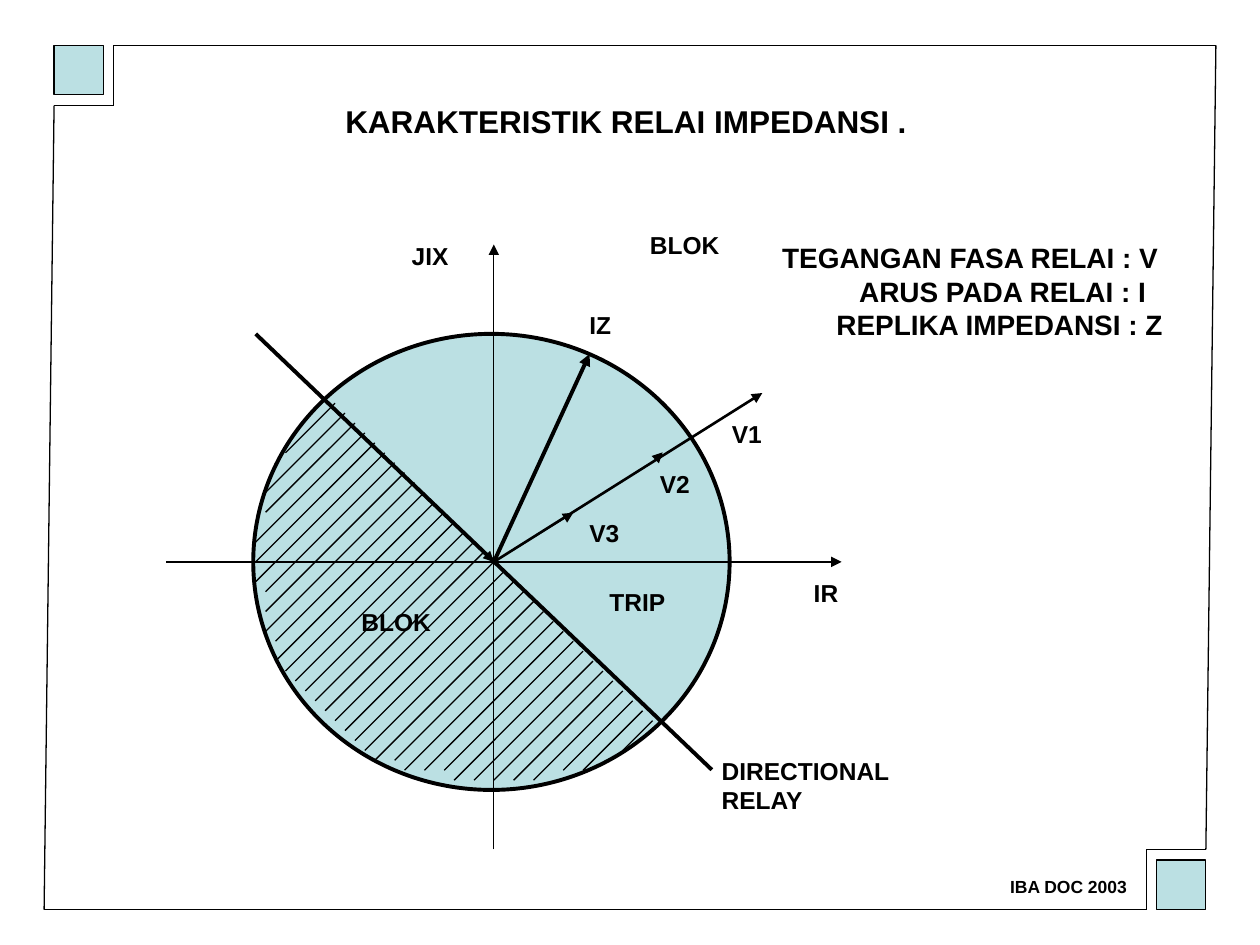
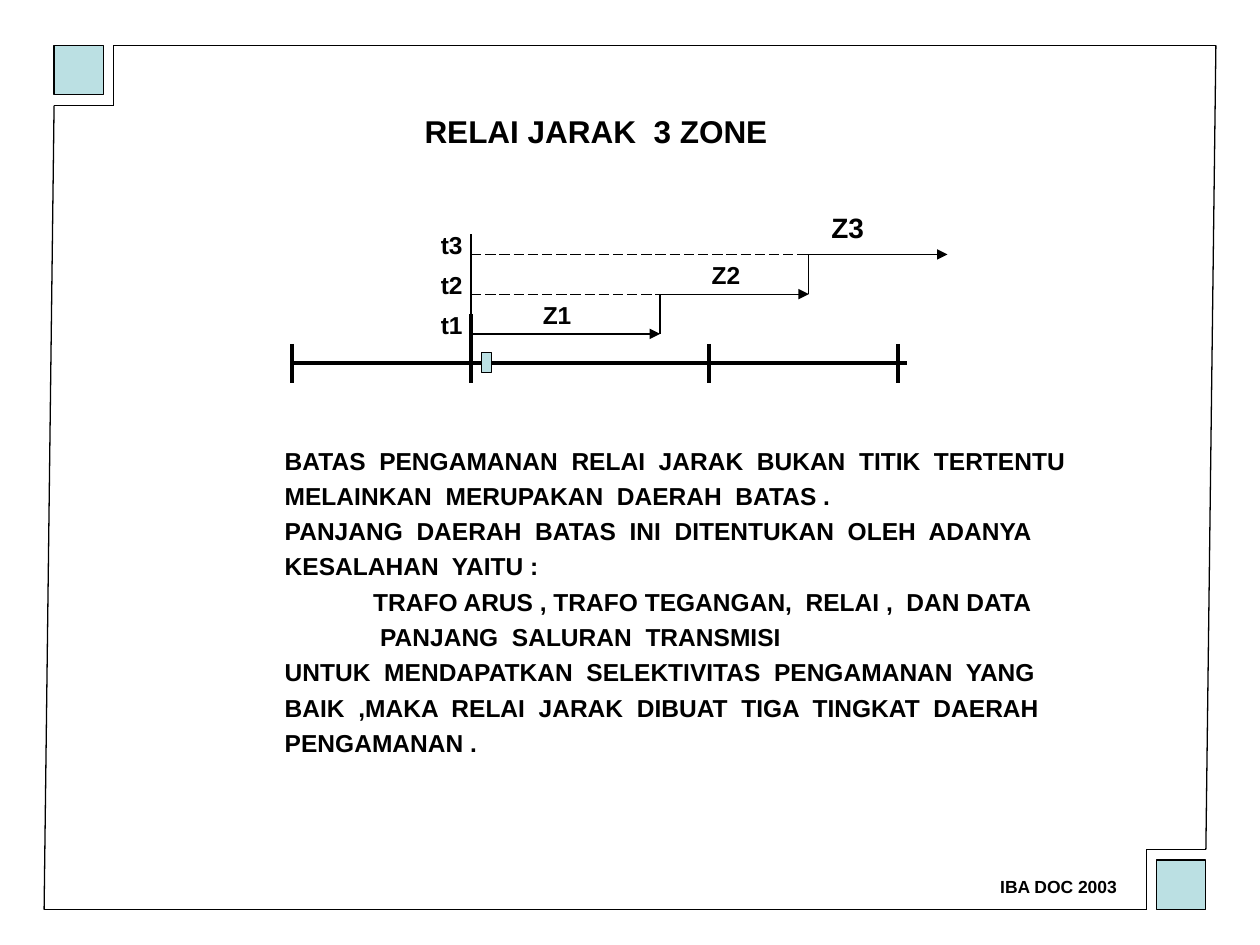
from dataclasses import dataclass

from lxml import etree
from pptx import Presentation
from pptx.dml.color import RGBColor
from pptx.enum.dml import MSO_LINE
from pptx.enum.shapes import MSO_CONNECTOR, MSO_SHAPE
from pptx.enum.text import MSO_ANCHOR, MSO_AUTO_SIZE, PP_ALIGN
from pptx.oxml.ns import qn
from pptx.util import Pt

STRAIGHT = MSO_CONNECTOR.STRAIGHT
RECTANGLE, OVAL = MSO_SHAPE.RECTANGLE, MSO_SHAPE.OVAL
LONG_DASH = MSO_LINE.LONG_DASH
LEFT, TOP = PP_ALIGN.LEFT, MSO_ANCHOR.TOP
FIT_SHAPE, NO_FIT = MSO_AUTO_SIZE.SHAPE_TO_FIT_TEXT, MSO_AUTO_SIZE.NONE

INK, AQUA = "000000", "BBE0E3"
FONT = "Arial"
THIN, MEDIUM, THICK = 0.75, 1.5, 2.25
TITLE_SIZE, LEGEND_SIZE, LABEL_SIZE, FOOTER_SIZE = 18, 16, 14, 10
TITLE_AND_BODY, TITLE_ONLY = 1, 5


@dataclass
class Box:
    left: float
    top: float
    width: float
    height: float

    def inner(self, left, top, width=0, height=0):
        return Box(self.left + left, self.top + top, width, height)


FRAME = Box(25.2, 25.9, 669.6, 493.9)


def paint(fill, colour):
    fill.solid()
    fill.fore_color.rgb = RGBColor.from_string(colour)


def add_line(page, box, start, end, weight=THIN, arrow=False, dash=None):
    ends = [Pt(value) for x, y in (start, end) for value in (box.left + x, box.top + y)]
    connector = page.shapes.add_connector(STRAIGHT, *ends)
    paint(connector.line.fill, INK)
    connector.line.width = Pt(weight)
    if dash:
        connector.line.dash_style = dash
    if arrow:
        etree.SubElement(connector.line._get_or_add_ln(), qn("a:tailEnd"), type="triangle")
    etree.SubElement(connector._element.spPr, qn("a:effectLst"))


def add_filled(page, kind, box, weight=THIN):
    shape = page.shapes.add_shape(
        kind, Pt(box.left), Pt(box.top), Pt(box.width), Pt(box.height))
    shape.shadow.inherit = False
    paint(shape.fill, AQUA)
    paint(shape.line.fill, INK)
    shape.line.width = Pt(weight)


def write(frame, lines, size, indents=None, spacing=1.0):
    frame.margin_right = 0
    for index, line in enumerate(lines):
        para = frame.paragraphs[0] if index == 0 else frame.add_paragraph()
        para.alignment = LEFT
        para.line_spacing = spacing
        para.space_before = para.space_after = Pt(0)
        indent = (indents or {}).get(index, 0)
        properties = para._p.get_or_add_pPr()
        properties.set("marL", str(Pt(indent)))
        properties.set("indent", "0")
        etree.SubElement(properties, qn("a:buNone"))
        span = para.add_run()
        span.text = line
        span.font.name = FONT
        span.font.size = Pt(size)
        span.font.bold = True
        paint(span.font.fill, INK)


def add_label(page, box, lines, size=LABEL_SIZE, indents=None):
    height = 1.2 * size * len(lines) + 7.2
    label = page.shapes.add_textbox(Pt(box.left), Pt(box.top), Pt(box.width), Pt(height))
    label.text_frame.word_wrap = False
    label.text_frame.auto_size = FIT_SHAPE
    write(label.text_frame, lines, size, indents)


def fill_placeholder(holder, box, lines, size, wrap, indents=None, spacing=1.0):
    holder.left, holder.top = Pt(box.left), Pt(box.top)
    holder.width, holder.height = Pt(box.width), Pt(box.height)
    frame = holder.text_frame
    frame.word_wrap = wrap
    frame.auto_size = NO_FIT
    frame.vertical_anchor = TOP
    write(frame, lines, size, indents, spacing)


def draw_frame(page, box):
    slant, notch_x, notch_y, square = 5.7, 39.6, 34.5, 28.3
    width, height = box.width, box.height
    half = [
        ((slant, notch_y), (0, height)),
        ((notch_x, 0), (width, 0)),
        ((notch_x, 0), (notch_x, notch_y)),
        ((slant, notch_y), (notch_x, notch_y)),
    ]
    for start, end in half:
        add_line(page, box, start, end)
        add_line(page, box, (width - start[0], height - start[1]),
                 (width - end[0], height - end[1]))
    add_filled(page, RECTANGLE, box.inner(slant, 0, square, square))
    add_filled(page, RECTANGLE,
               box.inner(width - slant - square, height - square, square, square))


def start_page(deck, layout, title, title_box, footer_left):
    page = deck.slides.add_slide(deck.slide_layouts[layout])
    fill_placeholder(page.shapes.title, title_box, [title], TITLE_SIZE, False)
    draw_frame(page, FRAME)
    add_label(page, Box(footer_left, 496.8, 81.4, 19.4), ["IBA DOC 2003"], FOOTER_SIZE)
    return page


def draw_hatching(page, origin):
    step = 5.67
    lengths = [5, 8, 9, 11, 12, 13, 13, 14, 15, 15] + [16] * 11 + [
        15, 15, 14, 13, 13, 12, 11, 10, 9, 7, 6, 3]
    for index, length in enumerate(lengths, -16):
        start = index * step
        run = length * step
        add_line(page, origin, (start, start), (start - run, start + run))


def draw_impedance_plane(page, box):
    origin = box.inner(187.2, 181.4)
    centre = (0, 0)
    add_filled(page, OVAL, origin.inner(-137.5, -130.3, 272.2, 260.6), THICK)
    add_line(page, origin, (-187.2, 0), (198.7, 0), arrow=True)
    add_line(page, origin, (0, 164.2), (0, -181.4), arrow=True)
    add_line(page, origin, (-136.1, -130.3), (124.6, 118.8), THICK)
    vectors = [
        (centre, (54.7, -118.8), THICK),
        (centre, (45.4, -28.1), THIN),
        (centre, (153.4, -96.5), MEDIUM),
        ((-1, -1), centre, THIN),
        ((90.7, -56.9), (96.5, -62.6), THIN),
    ]
    for start, end, weight in vectors:
        add_line(page, origin, start, end, weight, arrow=True)
    draw_hatching(page, origin)
    labels = [
        (["V1"], 128.9, -85, 31.7),
        (["V2"], 87.8, -56.9, 31.7),
        (["V3"], 47.5, -28.8, 31.7),
        (["IR"], 175.7, 5.8, 28.1),
        (["IZ"], 47.5, -147.6, 26.6),
        (["JIX"], -54, -187.2, 35.3),
        (["TRIP"], 59, 10.8, 46.1),
        (["BLOK"], -82.8, 22.3, 54),
        (["BLOK"], 82.1, -193, 54),
        (["DIRECTIONAL", "RELAY"], 123.1, 107.3, 110.2),
    ]
    for lines, left, top, width in labels:
        add_label(page, origin.inner(left, top, width), lines)


def draw_zone_steps(page, box):
    bus_y, tick_top, relay_top = 73.5, 62.6, 45.4
    relay_x = 102.2
    add_line(page, box, (0, bus_y), (351.4, bus_y), THICK)
    for x in (0, relay_x, 238.3, 346.3):
        top = relay_top if x == relay_x else tick_top
        add_line(page, box, (x, top), (x, box.height), THICK)
    add_filled(page, RECTANGLE, box.inner(108, 67.7, 5.7, 11.3))
    add_line(page, box, (relay_x, relay_top), (relay_x, 0))

    first_level, rise = 56.9, 22.7
    zones = [
        (210.2, 136.1, 23, LABEL_SIZE),
        (295.2, 232.6, 23, LABEL_SIZE),
        (374.4, 301, 28.8, LEGEND_SIZE),
    ]
    start = relay_x
    for index, (end, label_left, lift, size) in enumerate(zones):
        level = first_level - index * rise
        if index:
            add_line(page, box, (relay_x, level), (start, level), dash=LONG_DASH)
            add_line(page, box, (start, level), (start, level + rise))
        add_line(page, box, (start, level), (end, level), arrow=True)
        add_label(page, box.inner(label_left, level - lift, 33), [f"Z{index + 1}"], size)
        add_label(page, box.inner(77.8, level - 17.3, 26.6), [f"t{index + 1}"])
        start = end


def add_impedance_page(deck):
    page = start_page(deck, TITLE_ONLY, "KARAKTERISTIK RELAI IMPEDANSI .",
                      Box(190.1, 54.7, 335.5, 28.8), 570.2)
    draw_impedance_plane(page, Box(95, 139.7, 385.9, 345.6))
    legend = ["TEGANGAN FASA RELAI : V", "ARUS PADA RELAI : I", "REPLIKA IMPEDANSI : Z"]
    add_label(page, Box(439.9, 133.9, 232.6, 64.8), legend, LEGEND_SIZE, {1: 44, 2: 31})


def add_zone_page(deck):
    page = start_page(deck, TITLE_AND_BODY, "RELAI JARAK  3 ZONE",
                      Box(235.4, 60.5, 210.2, 28.8), 564.5)
    draw_zone_steps(page, Box(167, 133.9, 374.4, 85))
    lines = [
        "BATAS  PENGAMANAN  RELAI  JARAK  BUKAN  TITIK  TERTENTU",
        "MELAINKAN  MERUPAKAN  DAERAH  BATAS .",
        "PANJANG  DAERAH  BATAS  INI  DITENTUKAN  OLEH  ADANYA",
        "KESALAHAN  YAITU :",
        "TRAFO ARUS , TRAFO TEGANGAN,  RELAI ,  DAN DATA",
        "PANJANG  SALURAN  TRANSMISI",
        "UNTUK  MENDAPATKAN  SELEKTIVITAS  PENGAMANAN  YANG",
        "BAIK  ,MAKA  RELAI  JARAK  DIBUAT  TIGA  TINGKAT  DAERAH",
        "PENGAMANAN .",
    ]
    fill_placeholder(page.placeholders[1], Box(155.5, 247.7, 493.2, 256.3), lines,
                     LABEL_SIZE, True, {4: 50.5, 5: 54.5}, 1.2)


def main():
    deck = Presentation()
    deck.slide_width, deck.slide_height = Pt(720), Pt(540)
    add_impedance_page(deck)
    add_zone_page(deck)
    deck.save("out.pptx")


if __name__ == "__main__":
    main()
